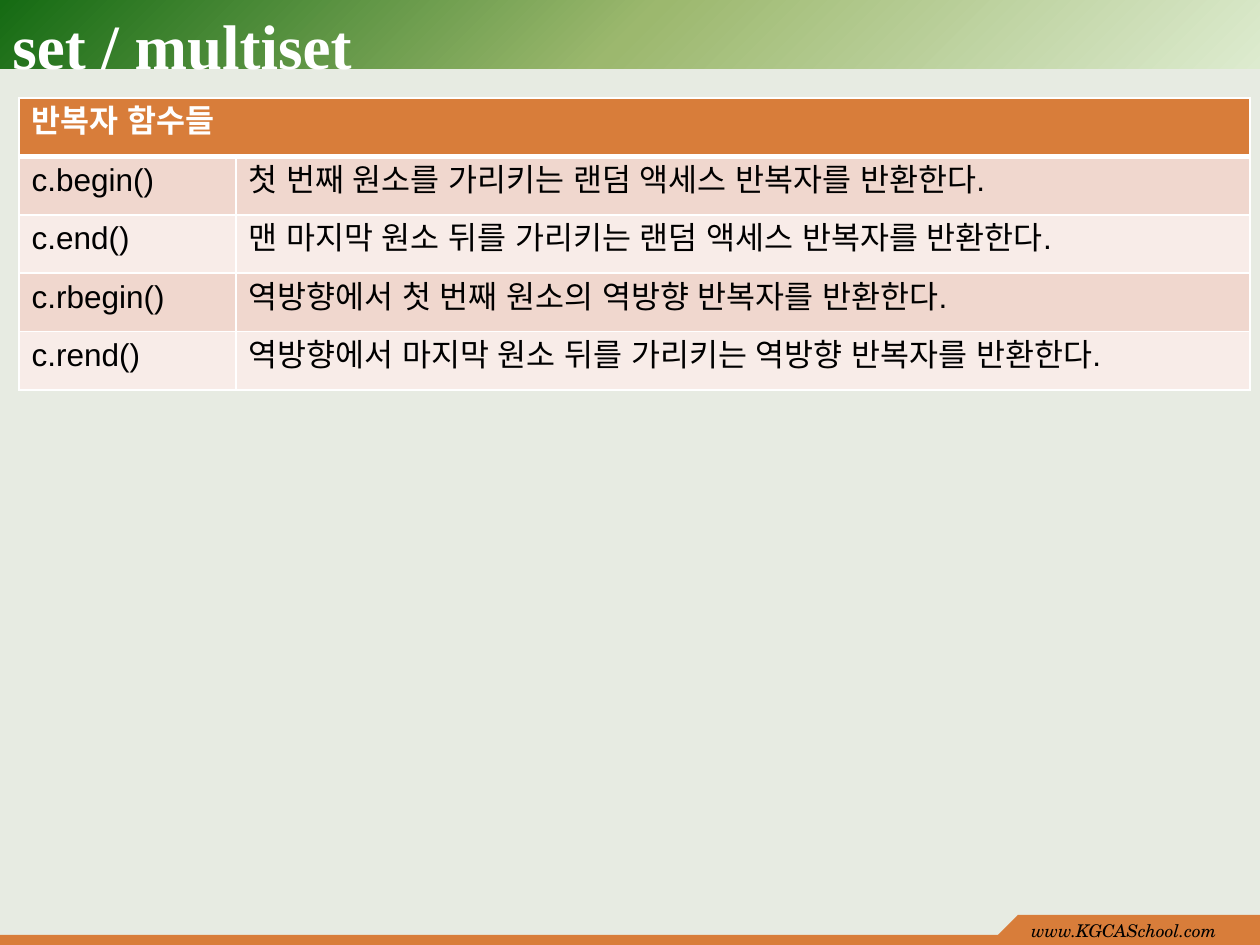
from dataclasses import dataclass

from lxml import etree
from pptx import Presentation
from pptx import util as u
from pptx.dml import color
from pptx.enum import shapes, text
from pptx.oxml import ns

PX = 914400 / 126
COLORS = {
    "page": "E7EBE2", "accent": "D87D3A", "white": "FFFFFF", "black": "000000",
    "odd": "F0D7CE", "even": "F8ECE8",
    "light": "DDEBCF", "mid": "9CB86E", "dark": "156B13",
}
TITLE_FONT = {"name": "Times New Roman", "size": u.Pt(36), "bold": True}
LINK_FONT = {"name": "TeX Gyre Schola", "size": u.Pt(10), "italic": True}
HEAD_FONT = {"name": "Arial", "size": u.Pt(18), "bold": True}
BODY_FONT = {"name": "Arial", "size": u.Pt(18), "bold": False}
HEADER = "반복자 함수들"


@dataclass(frozen=True)
class Box:
    x: int
    y: int
    w: int
    h: int

    def emu(self) -> list[int]:
        return [px(v) for v in (self.x, self.y, self.w, self.h)]


@dataclass(frozen=True)
class Iterator:
    call: str
    meaning: str


ITERATORS = [
    Iterator("c.begin()", "첫 번째 원소를 가리키는 랜덤 액세스 반복자를 반환한다."),
    Iterator("c.end()", "맨 마지막 원소 뒤를 가리키는 랜덤 액세스 반복자를 반환한다."),
    Iterator("c.rbegin()", "역방향에서 첫 번째 원소의 역방향 반복자를 반환한다."),
    Iterator("c.rend()", "역방향에서 마지막 원소 뒤를 가리키는 역방향 반복자를 반환한다."),
]
BANNER = Box(0, 0, 1260, 69)
TITLE = Box(0, 0, 1134, 88)
STRIP = Box(0, 935, 1260, 10)
TAB = Box(1018, 915, 242, 21)
LINK = Box(1019, 914, 241, 32)
TABLE = Box(19, 98, 1231, 292)
COLUMNS = (217, 1014)


def px(value: float) -> int:
    return round(value * PX)


def rgb(name: str) -> color.RGBColor:
    return color.RGBColor.from_string(COLORS[name])


def write(tf, value: str, font: dict, fill: str) -> None:
    r = tf.paragraphs[0].add_run()
    r.text = value
    for key, setting in font.items():
        setattr(r.font, key, setting)
    r.font.color.rgb = rgb(fill)
    latin = r._r.rPr.find(ns.qn("a:latin"))
    latin.addnext(etree.fromstring(
        f'<a:ea {ns.nsdecls("a")} typeface="{font["name"]}"/>'))


def paint(sp, fill: str) -> None:
    sp.shadow.inherit = False
    sp.fill.solid()
    sp.fill.fore_color.rgb = rgb(fill)
    sp.line.fill.background()


def add_bar(s, box: Box):
    sp = s.shapes.add_shape(shapes.MSO_SHAPE.RECTANGLE, *box.emu())
    paint(sp, "accent")
    return sp


def add_banner(s, box: Box) -> None:
    sp = add_bar(s, box)
    stops = "".join(
        f'<a:gs pos="{pos}"><a:srgbClr val="{COLORS[name]}"/></a:gs>'
        for pos, name in ((0, "light"), (50000, "mid"), (100000, "dark")))
    grad = etree.fromstring(
        f'<a:gradFill {ns.nsdecls("a")} rotWithShape="1"><a:gsLst>{stops}</a:gsLst>'
        '<a:path path="circle"><a:fillToRect l="100000" t="100000"/></a:path></a:gradFill>')
    spPr = sp._element.spPr
    spPr.replace(spPr.find(ns.qn("a:solidFill")), grad)


def add_slope(s, tab: Box) -> None:
    foot = tab.y + tab.h
    builder = s.shapes.build_freeform(px(tab.x - tab.h), px(foot))
    builder.add_line_segments([(px(tab.x), px(foot)), (px(tab.x), px(tab.y))])
    paint(builder.convert_to_shape(), "accent")


def add_text(s, box: Box, value: str, font: dict, fill: str, anchor) -> None:
    tf = s.shapes.add_textbox(*box.emu()).text_frame
    tf.word_wrap = True
    tf.vertical_anchor = anchor
    write(tf, value, font, fill)


def set_borders(cell, top: int, bottom: int) -> None:
    tcPr = cell._tc.get_or_add_tcPr()
    widths = {"lnL": 1, "lnR": 1, "lnT": top, "lnB": bottom}
    for i, (tag, width) in enumerate(widths.items()):
        tcPr.insert(i, etree.fromstring(
            f'<a:{tag} {ns.nsdecls("a")} w="{u.Pt(width)}"><a:solidFill>'
            f'<a:srgbClr val="{COLORS["white"]}"/></a:solidFill></a:{tag}>'))


def add_iterator_table(s, box: Box) -> None:
    rows = [(HEADER, "")] + [(it.call, it.meaning) for it in ITERATORS]
    table = s.shapes.add_table(len(rows), len(COLUMNS), *box.emu()).table
    for column, width in zip(table.columns, COLUMNS):
        column.width = px(width)
    for i, values in enumerate(rows):
        table.rows[i].height = px(box.h / len(rows))
        fill = "accent" if i == 0 else "odd" if i % 2 else "even"
        font, ink = (HEAD_FONT, "white") if i == 0 else (BODY_FONT, "black")
        for j, value in enumerate(values):
            cell = table.cell(i, j)
            cell.fill.solid()
            cell.fill.fore_color.rgb = rgb(fill)
            set_borders(cell, 3 if i == 1 else 1, 3 if i == 0 else 1)
            if value:
                write(cell.text_frame, value, font, ink)
    table.cell(0, 0).merge(table.cell(0, 1))


def main() -> None:
    """Build the set / multiset iterator slide."""
    prs = Presentation()
    prs.slide_width, prs.slide_height = px(1260), px(945)
    s = prs.slides.add_slide(prs.slide_layouts[6])
    s.background.fill.solid()
    s.background.fill.fore_color.rgb = rgb("page")
    add_banner(s, BANNER)
    for bar in (STRIP, TAB):
        add_bar(s, bar)
    add_slope(s, TAB)
    add_text(s, LINK, "www.KGCASchool.com", LINK_FONT, "black", text.MSO_ANCHOR.TOP)
    add_text(s, TITLE, "set / multiset", TITLE_FONT, "white", text.MSO_ANCHOR.MIDDLE)
    add_iterator_table(s, TABLE)
    prs.save("out.pptx")


if __name__ == "__main__":
    main()
